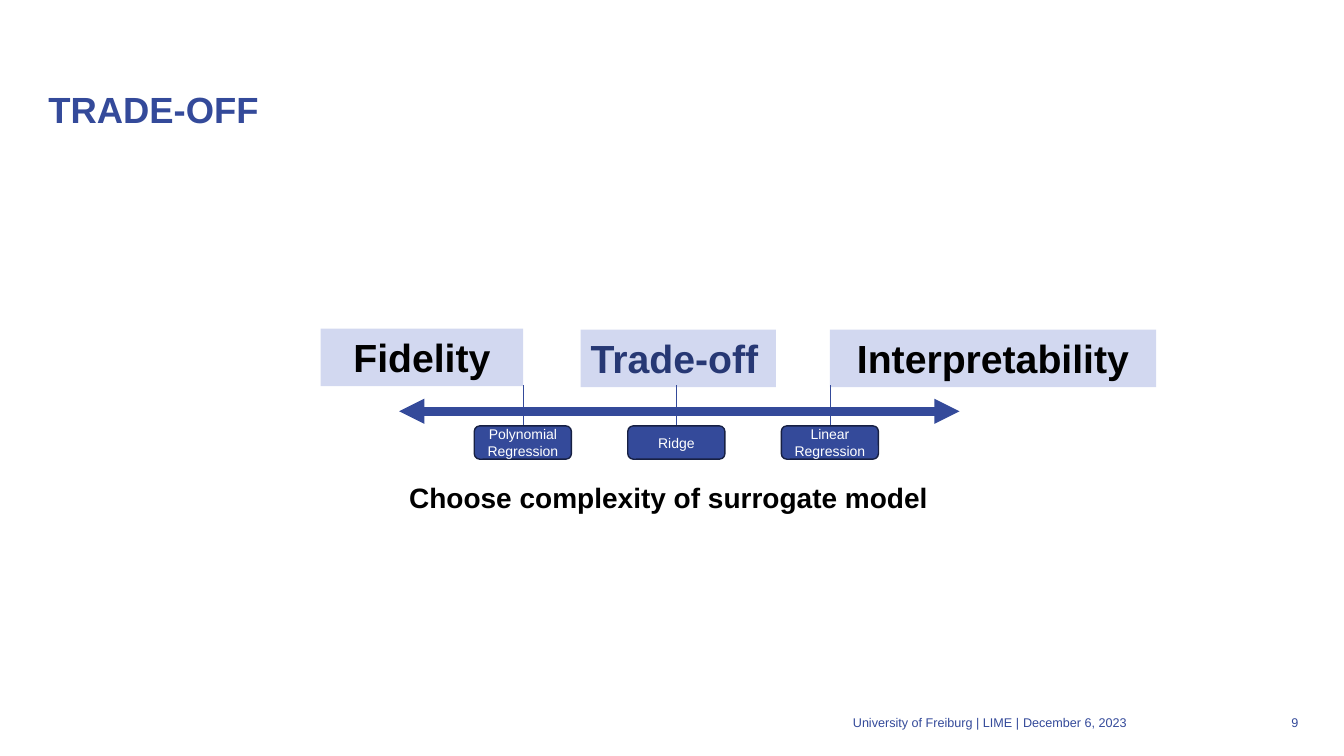
import pptx
import pptx.util
import pptx.dml.color
import pptx.enum.shapes
import pptx.enum.text
import pptx.oxml.ns
import pptx.oxml.xmlchemy

Pt = pptx.util.Pt
RGBColor = pptx.dml.color.RGBColor
MSO_SHAPE = pptx.enum.shapes.MSO_SHAPE
ANCHOR = pptx.enum.text.MSO_ANCHOR
ALIGN = pptx.enum.text.PP_ALIGN
OxmlElement = pptx.oxml.xmlchemy.OxmlElement

BLUE = RGBColor(0x34, 0x4A, 0x9A)
DARK_BLUE = RGBColor(0x27, 0x38, 0x74)
NAVY = RGBColor(0x17, 0x20, 0x43)
PALE = RGBColor(0xD2, 0xD8, 0xF0)
BLACK = RGBColor(0, 0, 0)
WHITE = RGBColor(0xFF, 0xFF, 0xFF)

# Content
TITLE = "TRADE-OFF"
CAPTION = "Choose complexity of surrogate model"
GOALS = [  # text, left, top, width, colour, alignment
    ("Fidelity", 229, 234.7, 144.7, BLACK, ALIGN.CENTER),
    ("Trade-off", 414.8, 235.4, 139.5, DARK_BLUE, ALIGN.LEFT),
    ("Interpretability", 592.7, 235.4, 233.1, BLACK, ALIGN.CENTER),
]
MODELS = ["Polynomial Regression", "Ridge", "Linear Regression"]
FOOTER = [  # text, left, width, alignment, left inset
    ("University of Freiburg | LIME |", 234.7, 493.2, ALIGN.RIGHT, 0),
    ("December 6, 2023", 727.9, 113, ALIGN.LEFT, 2.88),
    ("9", 899.3, 28.1, ALIGN.RIGHT, 0),
]

# Layout
GOAL_HEIGHT = 41.2
AXIS_LEFT, AXIS_RIGHT, AXIS_Y = 285.1, 685.4, 293.8
FIRST_MODEL_X, MODEL_STEP = 373.5, 109.65
STEM_TOP, MODEL_TOP = 275.3, 304.2
MODEL_WIDTH, MODEL_HEIGHT = 69.4, 23.8

deck = pptx.Presentation()
deck.slide_width, deck.slide_height = Pt(960), Pt(540)
slide = deck.slides.add_slide(deck.slide_layouts[6])


def write(shape, text, size, color, bold=False, align=ALIGN.LEFT,
          anchor=ANCHOR.TOP, insets=(7.2, 3.6, 7.2, 3.6)):
    frame = shape.text_frame
    frame.word_wrap = True
    frame.vertical_anchor = anchor
    (frame.margin_left, frame.margin_top,
     frame.margin_right, frame.margin_bottom) = map(Pt, insets)
    paragraph = frame.paragraphs[0]
    paragraph.text = text
    paragraph.alignment = align
    paragraph.font.name = "Arial"
    paragraph.font.size = Pt(size)
    paragraph.font.bold = bold
    paragraph.font.color.rgb = color


def add_text(left, top, width, height, *args, **style):
    box = slide.shapes.add_textbox(Pt(left), Pt(top), Pt(width), Pt(height))
    write(box, *args, **style)


def add_block(kind, left, top, width, height, fill, outline=None):
    block = slide.shapes.add_shape(kind, Pt(left), Pt(top), Pt(width), Pt(height))
    block.shadow.inherit = False
    block.fill.solid()
    block.fill.fore_color.rgb = fill
    if outline is None:
        block.line.fill.background()
    else:
        block.line.color.rgb = outline
        block.line.width = Pt(1)
    return block


def add_line(x1, y1, x2, y2, width):
    line = slide.shapes.add_connector(
        pptx.enum.shapes.MSO_CONNECTOR.STRAIGHT, Pt(x1), Pt(y1), Pt(x2), Pt(y2))
    line.line.color.rgb = BLUE
    line.line.width = Pt(width)
    line.element.spPr.append(OxmlElement("a:effectLst"))
    return line


# Title and footer
add_text(34.56, 60, 892.8, 36, TITLE, 26, BLUE, bold=True,
         anchor=ANCHOR.MIDDLE, insets=(0, 0, 0, 0))
for text, left, width, align, inset in FOOTER:
    add_text(left, 509, width, 14.4, text, 9, BLUE, align=align,
             anchor=ANCHOR.MIDDLE, insets=(inset, 0, 0, 0))

# Goals above the axis, caption below it
for text, left, top, width, color, align in GOALS:
    goal = add_block(MSO_SHAPE.RECTANGLE, left, top, width, GOAL_HEIGHT, PALE)
    write(goal, text, 28, color, bold=True, align=align)
add_text(285.1, 339.8, 404.6, 31.5, CAPTION, 20, BLACK, bold=True)

# Double-headed axis
axis = add_line(AXIS_LEFT, AXIS_Y, AXIS_RIGHT, AXIS_Y, 6)
axis_outline = axis.element.spPr.find(pptx.oxml.ns.qn("a:ln"))
for end in ("a:headEnd", "a:tailEnd"):
    arrowhead = OxmlElement(end)
    arrowhead.set("type", "triangle")
    axis_outline.append(arrowhead)

# Models hung from the axis at equal steps
for index, name in enumerate(MODELS):
    x = FIRST_MODEL_X + index * MODEL_STEP
    add_line(x, STEM_TOP, x, MODEL_TOP, 0.5)
    model = add_block(MSO_SHAPE.ROUNDED_RECTANGLE, x - MODEL_WIDTH / 2, MODEL_TOP,
                      MODEL_WIDTH, MODEL_HEIGHT, BLUE, NAVY)
    write(model, name, 10, WHITE, align=ALIGN.CENTER, anchor=ANCHOR.MIDDLE)

deck.save("out.pptx")
